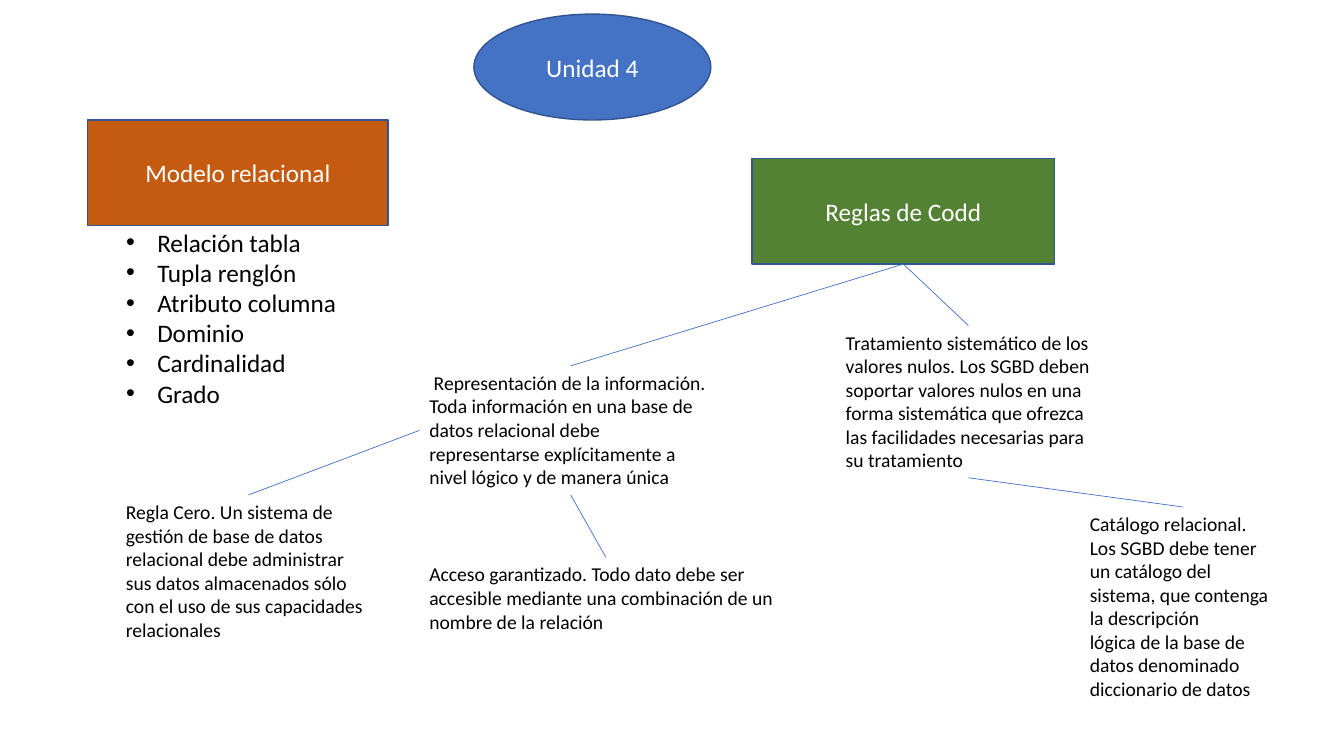
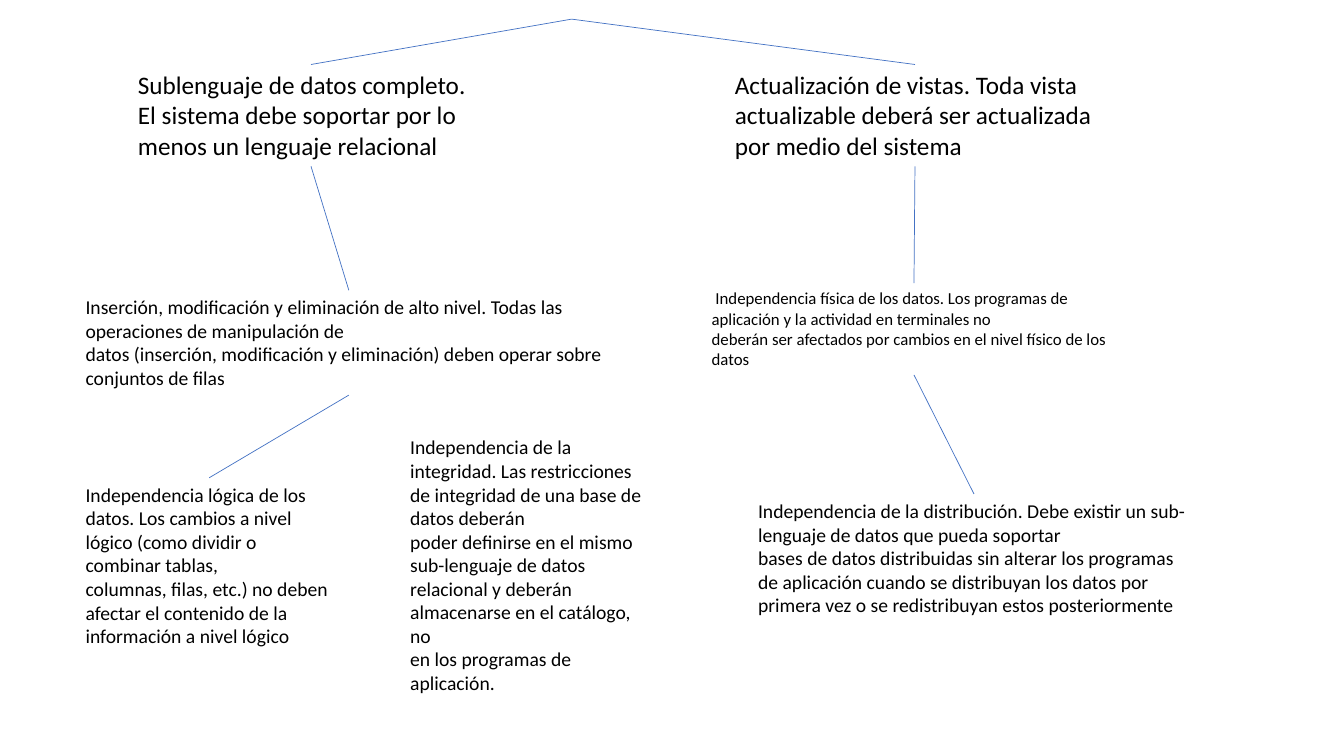
from lxml import etree
from pptx import Presentation, util as u
from pptx.dml.color import RGBColor
from pptx.enum import shapes, text
from pptx.oxml.ns import qn

PX = 9144
TOP, LEFT, BOTTOM = 0, 1, 2
BLUE, OUTLINE, ORANGE, GREEN = "4472C4", "325491", "C55A11", "548235"
WHITE, BLACK = "FFFFFF", "000000"
FONT = "Calibri"


def px(*lengths):
    return [u.Emu(length * PX) for length in lengths]


def color(value):
    return RGBColor.from_string(value)


def write(shape, *paragraphs, size=18, ink=BLACK, align=text.PP_ALIGN.LEFT,
          anchor=text.MSO_ANCHOR.TOP, fit=text.MSO_AUTO_SIZE.NONE, bullet_indent=0):
    frame = shape.text_frame
    frame.text = "\n".join(paragraphs)
    frame.word_wrap = True
    frame.auto_size = fit
    frame.vertical_anchor = anchor
    for paragraph in frame.paragraphs:
        paragraph.alignment = align
        paragraph.space_before = u.Pt(0)
        paragraph.font.name = FONT
        paragraph.font.size = u.Pt(size)
        paragraph.font.color.rgb = color(ink)
        if bullet_indent:
            props = paragraph._p.get_or_add_pPr()
            props.set("marL", str(bullet_indent * PX))
            props.set("indent", str(-bullet_indent * PX))
    return shape


class ConceptMap:
    LABEL = dict(ink=WHITE, align=text.PP_ALIGN.CENTER, anchor=text.MSO_ANCHOR.MIDDLE)

    def __init__(self):
        self.deck = Presentation()
        self.deck.slide_width, self.deck.slide_height = px(1333, 750)
        self.slide = None

    def add_slide(self, layout):
        self.slide = self.deck.slides.add_slide(self.deck.slide_layouts.get_by_name(layout))

    def place(self, shape, box):
        shape.left, shape.top, shape.width, shape.height = px(*box)
        return shape

    def figure(self, kind, box, fill):
        shape = self.slide.shapes.add_shape(kind, *px(*box))
        shape.shadow.inherit = False
        shape.fill.solid()
        shape.fill.fore_color.rgb = color(fill)
        shape.line.color.rgb = color(OUTLINE)
        shape.line.width = u.Pt(1)
        return shape

    def title(self, box, words):
        self.figure(shapes.MSO_SHAPE.OVAL, box, BLUE)
        heading = self.place(self.slide.shapes.title, box)
        self.slide.shapes._spTree.append(heading._element)
        return write(heading, words, **self.LABEL)

    def topic(self, box, words, fill):
        return write(self.figure(shapes.MSO_SHAPE.RECTANGLE, box, fill), words, **self.LABEL)

    def bullets(self, box, *items):
        return write(self.place(self.slide.placeholders[1], box), *items, bullet_indent=31)

    def note(self, box, *paragraphs, size=14):
        return write(self.slide.shapes.add_textbox(*px(*box)), *paragraphs, size=size,
                     fit=text.MSO_AUTO_SIZE.SHAPE_TO_FIT_TEXT)

    def branch(self, child, side=TOP, parent=None, parent_side=BOTTOM, origin=(0, 0)):
        link = self.slide.shapes.add_connector(
            shapes.MSO_CONNECTOR.STRAIGHT, *px(*origin, *origin))
        if parent is not None:
            link.begin_connect(parent, parent_side)
        link.end_connect(child, side)
        link.line.color.rgb = color(BLUE)
        link.line.width = u.Pt(0.5)
        etree.SubElement(link._element.spPr, qn("a:effectLst"))


def build_models(page):
    page.add_slide("Title and Content")
    page.title((470, 14, 235, 105), "Unidad 4")
    page.topic((87, 119, 298, 105), "Modelo relacional", ORANGE)
    page.bullets((115, 220, 242, 222), "Relación tabla", "Tupla renglón",
                 "Atributo columna", "Dominio", "Cardinalidad", "Grado")
    codd = page.topic((746, 157, 300, 105), "Reglas de Codd", GREEN)
    rule_zero = page.note(
        (115, 491, 263, 151),
        "Regla Cero. Un sistema de gestión de base de datos relacional debe administrar "
        "sus datos almacenados sólo con el uso de sus capacidades relacionales")
    representation = page.note(
        (416, 363, 300, 128),
        " Representación de la información. Toda información en una base de datos relacional "
        "debe representarse explícitamente a nivel lógico y de manera única")
    access = page.note(
        (416, 553, 370, 81),
        "Acceso garantizado. Todo dato debe ser accesible mediante una combinación de un "
        "nombre de la relación")
    nulls = page.note(
        (829, 323, 263, 151),
        "Tratamiento sistemático de los valores nulos. Los SGBD deben soportar valores nulos en una",
        "forma sistemática que ofrezca las facilidades necesarias para su tratamiento")
    catalog = page.note(
        (1071, 503, 205, 199),
        "Catálogo relacional. Los SGBD debe tener un catálogo del sistema, que contenga la descripción",
        "lógica de la base de datos denominado diccionario de datos")
    for parent, child in ((codd, nulls), (codd, representation),
                          (representation, access), (nulls, catalog)):
        page.branch(child, parent=parent)
    page.branch(rule_zero, parent=representation, parent_side=LEFT)


def build_rules(page):
    page.add_slide("Blank")
    sublanguage = page.note(
        (127, 64, 363, 101),
        "Sublenguaje de datos completo. El sistema debe soportar por lo menos un lenguaje relacional",
        size=18)
    views = page.note(
        (719, 64, 377, 101),
        "Actualización de vistas. Toda vista actualizable deberá ser actualizada por medio del sistema",
        size=18)
    insertion = page.note(
        (75, 288, 542, 104),
        "Inserción, modificación y eliminación de alto nivel. Todas las operaciones de manipulación de",
        "datos (inserción, modificación y eliminación) deben operar sobre conjuntos de filas")
    physical = page.note(
        (696, 281, 421, 91),
        " Independencia física de los datos. Los programas de aplicación y la actividad en terminales no",
        "deberán ser afectados por cambios en el nivel físico de los datos", size=12)
    logical = page.note(
        (75, 474, 265, 175),
        "Independencia lógica de los datos. Los cambios a nivel lógico (como dividir o combinar tablas,",
        "columnas, filas, etc.) no deben afectar el contenido de la información a nivel lógico")
    page.note(
        (397, 427, 253, 269),
        "Independencia de la integridad. Las restricciones de integridad de una base de datos deberán",
        "poder definirse en el mismo sub-lenguaje de datos relacional y deberán almacenarse en el "
        "catálogo, no",
        "en los programas de aplicación.")
    distribution = page.note(
        (742, 490, 448, 128),
        "Independencia de la distribución. Debe existir un sub-lenguaje de datos que pueda soportar",
        "bases de datos distribuidas sin alterar los programas de aplicación cuando se distribuyan "
        "los datos por",
        "primera vez o se redistribuyan estos posteriormente")
    for child in (sublanguage, views):
        page.branch(child, origin=(567, 19))
    for parent, child in ((sublanguage, insertion), (insertion, logical),
                          (views, physical), (physical, distribution)):
        page.branch(child, parent=parent)


def main():
    page = ConceptMap()
    build_models(page)
    build_rules(page)
    page.deck.save("out.pptx")


if __name__ == "__main__":
    main()
